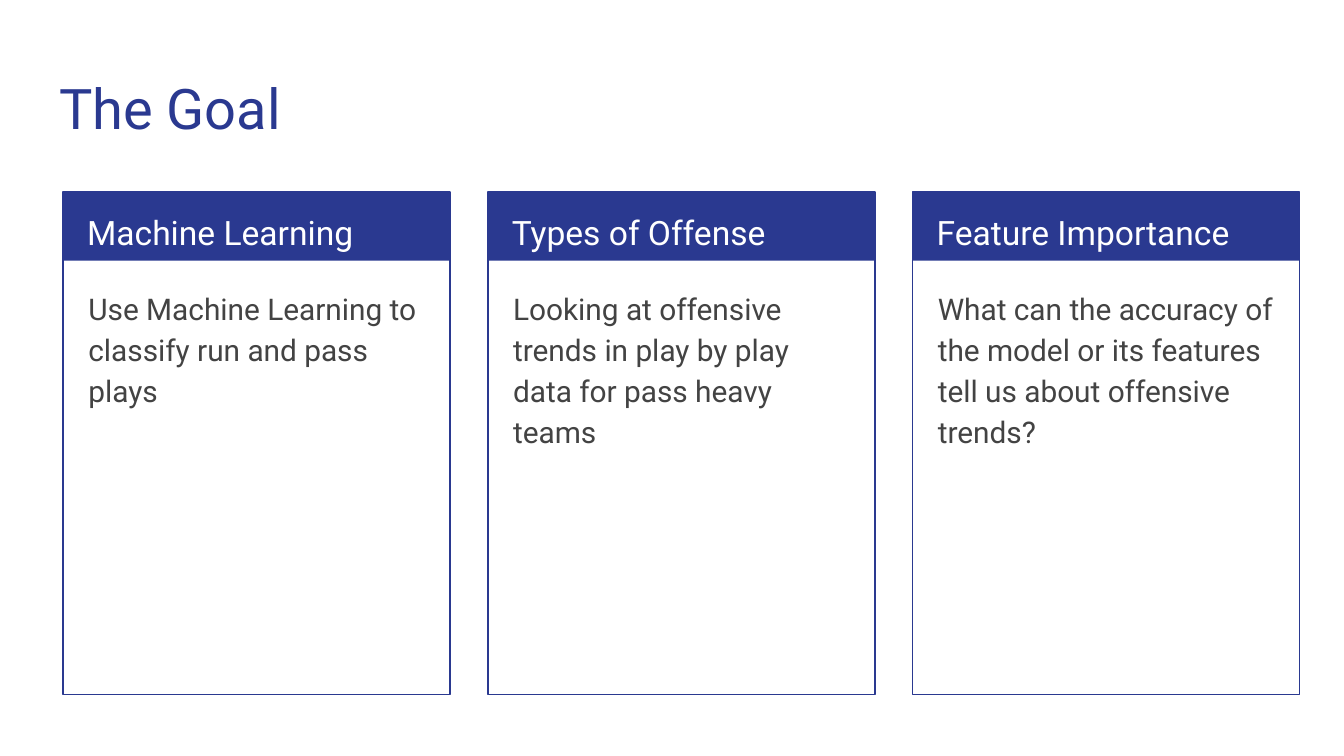
from pptx import Presentation
from pptx.dml.color import RGBColor
from pptx.enum.shapes import MSO_SHAPE
from pptx.enum.text import MSO_ANCHOR, MSO_AUTO_SIZE, PP_ALIGN
from pptx.util import Inches, Pt

COLORS = {"navy": "2A3990", "white": "FFFFFF", "gray": "434343"}

# Grid of three equal columns
LEFT, STEP, WIDTH = 0.47, 3.16, 2.88
TOP, HEAD, HEIGHT = 1.43, 0.51, 3.74

CARDS = [
    ("Machine Learning", "Use Machine Learning to classify run and pass plays"),
    ("Types of Offense",
     "Looking at offensive trends in play by play data for pass heavy teams"),
    ("Feature Importance",
     "What can the accuracy of the model or its features tell us about "
     "offensive trends?"),
]


def write(shape, text, size, color, spacing=1.0, after=0):
    frame = shape.text_frame
    frame.word_wrap = True
    frame.auto_size = MSO_AUTO_SIZE.NONE
    frame.vertical_anchor = MSO_ANCHOR.TOP
    frame.margin_left = frame.margin_right = Inches(0.1)
    frame.margin_top = frame.margin_bottom = Inches(0.1)
    frame.text = text
    line = frame.paragraphs[0]
    line.alignment = PP_ALIGN.LEFT
    line.line_spacing = spacing
    line.space_after = Pt(after)
    line.font.name = "Roboto"
    line.font.size = Pt(size)
    line.font.color.rgb = RGBColor.from_string(COLORS[color])


def add_box(x, height):
    box = slide.shapes.add_shape(MSO_SHAPE.RECTANGLE, Inches(x), Inches(TOP),
                                 Inches(WIDTH), Inches(height))
    box.shadow.inherit = False
    return box


# Widescreen page, 16:9
deck = Presentation()
deck.slide_width = Inches(10)
deck.slide_height = deck.slide_width * 9 // 16
slide = deck.slides.add_slide(deck.slide_layouts[5])
navy = RGBColor.from_string(COLORS["navy"])

# Title
title = slide.shapes.title
title.left, title.top = Inches(0.34), Inches(0.45)
title.width, title.height = Inches(9.32), Inches(0.66)
write(title, "The Goal", 30, "navy")

# Cards: filled header, outlined frame, heading and body
for col, (head, body) in enumerate(CARDS):
    x = LEFT + col * STEP

    band = add_box(x, HEAD)
    band.fill.solid()
    band.fill.fore_color.rgb = navy
    band.line.fill.background()

    frame = add_box(x, HEIGHT)
    frame.fill.background()
    frame.line.color.rgb = navy
    frame.line.width = Pt(0.75)

    for text, pad, y, height, size, color, after in (
            (head, 0.08, TOP, 0.5, 18, "white", 0),
            (body, 0.09, 2.02, 3.06, 16, "gray", 16)):
        label = slide.shapes.add_textbox(
            Inches(x + pad), Inches(y), Inches(WIDTH - 2 * pad), Inches(height))
        write(label, text, size, color, 1.15, after)

deck.save("out.pptx")
